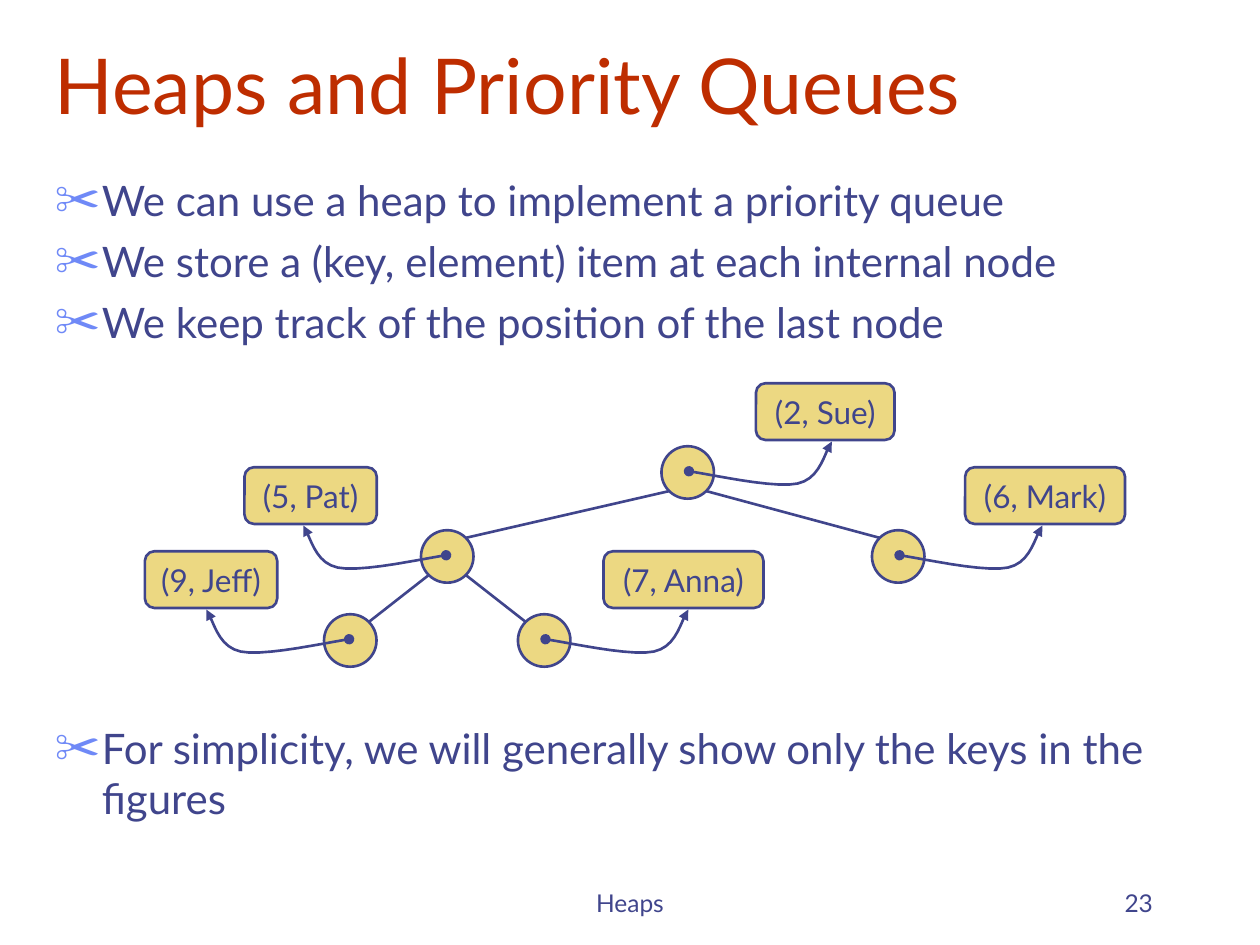
from lxml import etree
from pptx import Presentation
from pptx.dml.color import RGBColor
from pptx.enum.shapes import MSO_CONNECTOR, MSO_SHAPE
from pptx.enum.text import MSO_ANCHOR, MSO_AUTO_SIZE, PP_ALIGN
from pptx.oxml.ns import qn
from pptx.util import Pt

LEFT, CENTER, RIGHT = PP_ALIGN.LEFT, PP_ALIGN.CENTER, PP_ALIGN.RIGHT
MIDDLE, BOTTOM, TOP = MSO_ANCHOR.MIDDLE, MSO_ANCHOR.BOTTOM, MSO_ANCHOR.TOP
OVAL, ROUNDED = MSO_SHAPE.OVAL, MSO_SHAPE.ROUNDED_RECTANGLE
STRAIGHT = MSO_CONNECTOR.STRAIGHT
NO_FIT = MSO_AUTO_SIZE.NONE

FONT = "Lato"
INK, GOLD, RED, BULLET = "40458C", "ECD882", "BE2D00", "6F89F7"

POINTS = [
    "We can use a heap to implement a priority queue",
    "We store a (key, element) item at each internal node",
    "We keep track of the position of the last node",
    "For simplicity, we will generally show only the keys in the figures",
]
SPACE_BEFORE = [6, 6, 6, 214.8]

# name: centre x, level, item text, item left, item width, side of item
NODES = {
    "root": (310.2, 0, "(2, Sue)", 349.2, 79.2, 1),
    "right": (430.5, 1, "(6, Mark)", 468.7, 91.4, 1),
    "left": (172.8, 1, "(5, Pat)", 56.9, 75.6, -1),
    "left_right": (228.2, 2, "(7, Anna)", 262.1, 91.4, 1),
    "left_left": (117.4, 2, "(9, Jeff)", 0, 75.6, -1),
}
EDGES = [("root", "left"), ("root", "right"),
         ("left", "left_left"), ("left", "left_right")]
RADIUS, LEVEL_GAP, ITEM_HEIGHT = 15, 48, 32.4
CURVE = [(0, 0), (10, 1.2), (48.2, 10), (62, 7),
         (75.6, 4.2), (77.8, -12.2), (81.6, -17)]
CURVE_STEPS = 10


def color(value):
    return RGBColor.from_string(value)


def place(s, box):
    s.left, s.top, s.width, s.height = (Pt(v) for v in box)


def format_text(tf, size, value, align, anchor):
    tf.vertical_anchor = anchor
    tf.auto_size = NO_FIT
    for p in tf.paragraphs:
        p.alignment = align
        for r in p.runs:
            r.font.name = FONT
            r.font.size = Pt(size)
            r.font.color.rgb = color(value)


def style_line(s):
    s.line.color.rgb = color(INK)
    s.line.width = Pt(1.5)


def add_title(slide, box):
    s = slide.shapes.title
    place(s, box)
    s.text_frame.text = "Heaps and Priority Queues"
    format_text(s.text_frame, 44, RED, LEFT, BOTTOM)


def set_bullet(p):
    props = p._p.get_or_add_pPr()
    props.set("marL", str(Pt(27)))
    props.set("indent", str(-Pt(27)))
    clr = etree.SubElement(props, qn("a:buClr"))
    etree.SubElement(clr, qn("a:srgbClr"), val=BULLET)
    etree.SubElement(props, qn("a:buSzPct"), val="110000")
    etree.SubElement(props, qn("a:buChar"), char="✂")


def add_points(slide, box):
    s = slide.placeholders[1]
    place(s, box)
    tf = s.text_frame
    tf.text = "\n".join(POINTS)
    format_text(tf, 24, INK, LEFT, TOP)
    for p, space in zip(tf.paragraphs, SPACE_BEFORE):
        p.space_before = Pt(space)
        set_bullet(p)


def add_footer(slide, box, text, align):
    s = slide.shapes.add_textbox(*(Pt(v) for v in box))
    tf = s.text_frame
    tf.text = text
    tf.word_wrap = True
    format_text(tf, 14, INK, align, BOTTOM)


def add_gold_shape(shapes, kind, box):
    s = shapes.add_shape(kind, *(Pt(v) for v in box))
    s.shadow.inherit = False
    s.fill.solid()
    s.fill.fore_color.rgb = color(GOLD)
    style_line(s)
    return s


def add_edge(shapes, parent, child):
    (px, py), (cx, cy) = parent, child
    reach = RADIUS * 0.71
    side = 1 if cx > px else -1
    s = shapes.add_connector(
        STRAIGHT, Pt(px + side * reach), Pt(py + reach),
        Pt(cx - side * reach), Pt(cy - reach))
    style_line(s)
    etree.SubElement(s._element.spPr, qn("a:effectLst"))


def add_item(shapes, box, text):
    s = add_gold_shape(shapes, ROUNDED, box)
    s.adjustments[0] = 0.167
    tf = s.text_frame
    tf.text = text
    tf.word_wrap = False
    format_text(tf, 18, INK, CENTER, MIDDLE)


def bezier(a, b, c, d, t):
    u = 1 - t
    return tuple(u**3 * i + 3 * u * u * t * j + 3 * u * t * t * k + t**3 * m
                 for i, j, k, m in zip(a, b, c, d))


def add_pointer(shapes, x, y, side):
    steps = [n / CURVE_STEPS for n in range(1, CURVE_STEPS + 1)]
    route = [bezier(*CURVE[i:i + 4], t) for i in (0, 3) for t in steps]
    builder = shapes.build_freeform(Pt(x), Pt(y))
    builder.add_line_segments(
        [(Pt(x + side * dx), Pt(y + dy)) for dx, dy in route], close=False)
    s = builder.convert_to_shape()
    s.shadow.inherit = False
    s.fill.background()
    style_line(s)
    ln = s.line._get_or_add_ln()
    etree.SubElement(ln, qn("a:headEnd"), type="oval")
    etree.SubElement(ln, qn("a:tailEnd"), type="triangle")


def add_heap(slide, left, top):
    shapes = slide.shapes.add_group_shape().shapes
    centers = {name: (left + node[0], top + 51 + node[1] * LEVEL_GAP)
               for name, node in NODES.items()}
    for x, y in centers.values():
        add_gold_shape(shapes, OVAL,
                       (x - RADIUS, y - RADIUS, 2 * RADIUS, 2 * RADIUS))
    for parent, child in EDGES:
        add_edge(shapes, centers[parent], centers[child])
    for name, (_, level, text, item_left, width, side) in NODES.items():
        x, y = centers[name]
        add_item(shapes, (left + item_left, top + level * LEVEL_GAP,
                          width, ITEM_HEIGHT), text)
        add_pointer(shapes, x + side * 0.7, y - 0.7, side)


def main():
    prs = Presentation()
    prs.slide_width, prs.slide_height = Pt(720), Pt(540)
    slide = prs.slides.add_slide(prs.slide_layouts[1])
    add_title(slide, (24, 12, 684, 66))
    add_points(slide, (24, 96, 684, 378))
    add_footer(slide, (246, 492, 228, 36), "Heaps", CENTER)
    add_footer(slide, (516, 492, 150, 36), "23", RIGHT)
    add_heap(slide, 82.8, 219)
    prs.save("out.pptx")


if __name__ == "__main__":
    main()
